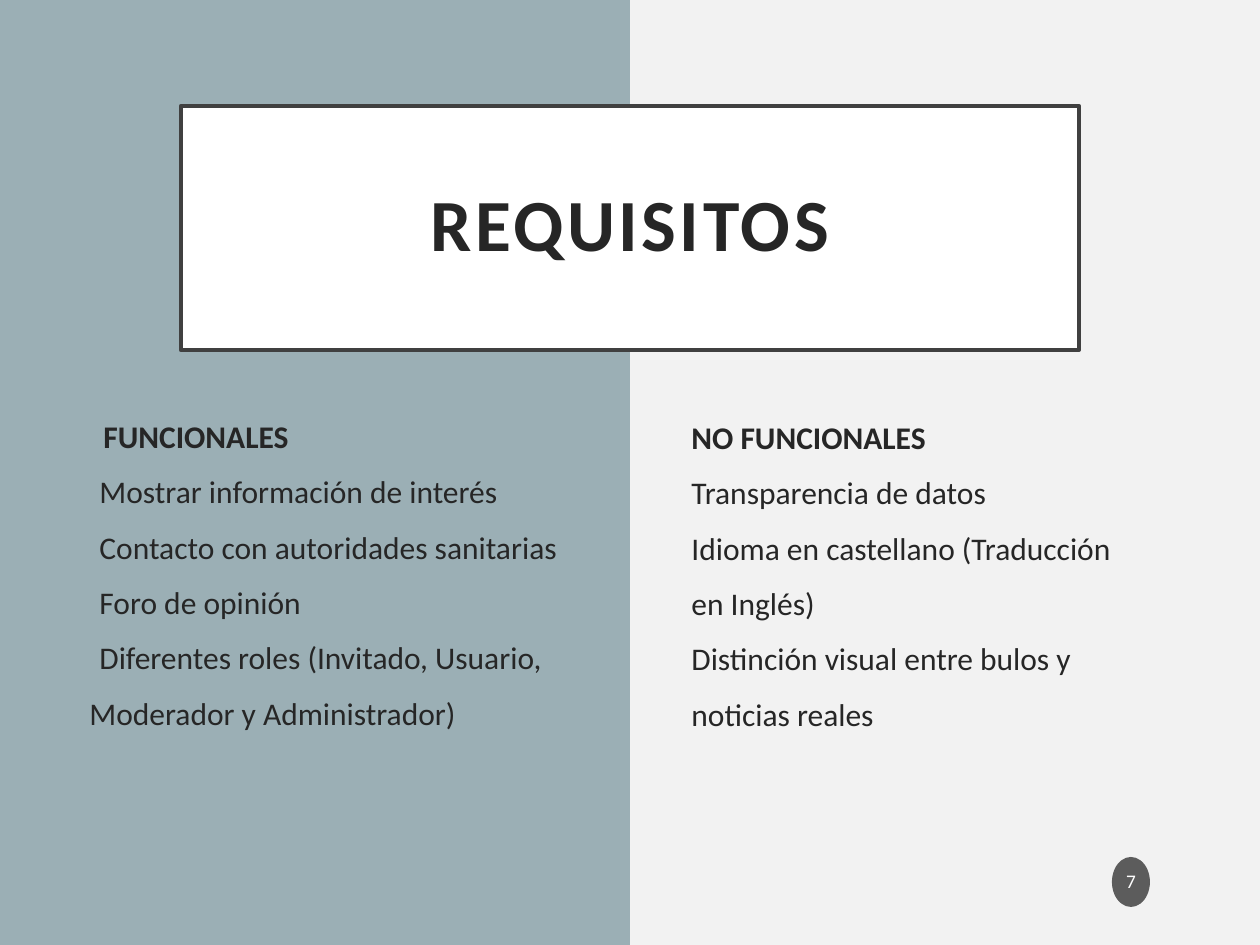
from lxml import etree
from pptx import Presentation
from pptx.dml.color import RGBColor
from pptx.enum import shapes, text
from pptx.oxml.ns import qn
from pptx.util import Pt

PX = 914400 // 126
FONT = "Calibri"
INK = "262626"

# Each entry: wording, left indent in pixels
FUNCTIONAL = [
    ("FUNCIONALES", 36),
    ("Mostrar información de interés", 32),
    ("Contacto con autoridades sanitarias", 32),
    ("Foro de opinión", 32),
    ("Diferentes roles (Invitado, Usuario,", 32),
    ("Moderador y Administrador)", 22),
]
NON_FUNCTIONAL = [
    ("NO FUNCIONALES", 0),
    ("Transparencia de datos", 0),
    ("Idioma en castellano (Traducción", 0),
    ("en Inglés)", 0),
    ("Distinción visual entre bulos y", 0),
    ("noticias reales", 0),
]


def px(*lengths):
    return [length * PX for length in lengths]


def color(hex_code):
    return RGBColor.from_string(hex_code)


def set_font(paragraph, size, hex_code, bold=False):
    font = paragraph.font
    font.name, font.size, font.bold = FONT, Pt(size), bold
    font.color.rgb = color(hex_code)


def add_panel(slide, kind, box, fill, outline=None):
    panel = slide.shapes.add_shape(kind, *px(*box))
    panel.shadow.inherit = False
    panel.fill.solid()
    panel.fill.fore_color.rgb = color(fill)
    if outline:
        panel.line.color.rgb = color(outline)
        panel.line.width = Pt(2.5)
    else:
        panel.line.fill.background()
    return panel


def set_label(panel, wording, size, hex_code, insets, bold=False):
    frame = panel.text_frame
    frame.word_wrap = True
    frame.vertical_anchor = text.MSO_ANCHOR.MIDDLE
    side, end = px(*insets)
    frame.margin_left = frame.margin_right = side
    frame.margin_top = frame.margin_bottom = end
    label = frame.paragraphs[0]
    label.text = wording
    label.alignment = text.PP_ALIGN.CENTER
    label.line_spacing = 0.9
    set_font(label, size, hex_code, bold)
    return label


def add_requirements(slide, box, entries):
    frame = slide.shapes.add_textbox(*px(*box)).text_frame
    frame.word_wrap = True
    for index, (wording, indent) in enumerate(entries):
        entry = frame.add_paragraph() if index else frame.paragraphs[0]
        entry.text = wording
        entry.space_before = Pt(10)
        set_font(entry, 18, INK, bold=index == 0)
        if indent:
            entry._p.get_or_add_pPr().set("marL", str(indent * PX))


def set_opacity(panel, percent):
    rgb = panel.fill._xPr.find(qn("a:solidFill"))[0]
    etree.SubElement(rgb, qn("a:alpha")).set("val", str(percent * 1000))


def main():
    deck = Presentation()
    deck.slide_width, deck.slide_height = px(1260, 945)
    slide = deck.slides.add_slide(deck.slide_layouts[6])

    # Two-tone background
    slide.background.fill.solid()
    slide.background.fill.fore_color.rgb = color("F2F2F2")
    add_panel(slide, shapes.MSO_SHAPE.RECTANGLE, (0, 0, 630, 945), "9BAFB5")

    # Framed title
    title = add_panel(slide, shapes.MSO_SHAPE.RECTANGLE,
                      (181, 106, 898, 244), "FFFFFF", "404040")
    heading = set_label(title, "REQUISITOS", 42, INK, (25, 25), bold=True)
    heading.runs[0]._r.get_or_add_rPr().set("spc", "200")

    # Page number
    badge = add_panel(slide, shapes.MSO_SHAPE.OVAL, (1112, 857, 38, 50), "1D1D1D")
    set_opacity(badge, 70)
    set_label(badge, "7", 11, "FFFFFF", (2, 6)).space_after = Pt(6)

    # Requirement columns
    add_requirements(slide, (679, 412, 799, 427), NON_FUNCTIONAL)
    add_requirements(slide, (55, 411, 799, 427), FUNCTIONAL)

    deck.save("out.pptx")


main()
